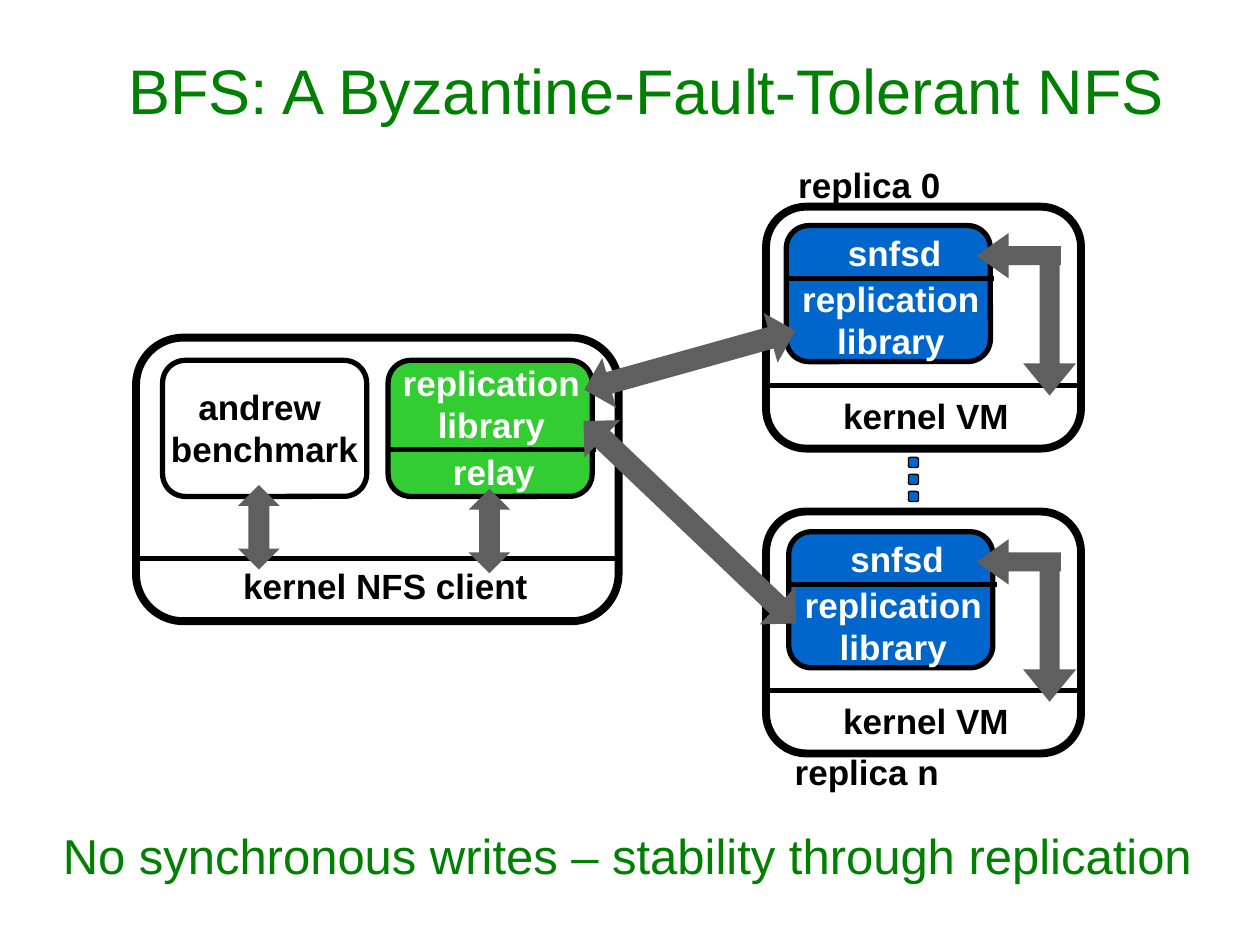
from lxml import etree
from pptx import Presentation
from pptx import util as u
from pptx.dml.color import RGBColor
from pptx.enum import shapes, text
from pptx.oxml.ns import qn

PX = 9144  # EMU, 100 px to the inch
COLORS = {"title": "008000", "ink": "000000", "paper": "FFFFFF",
          "client": "33CC33", "server": "0066CC", "arrow": "5F5F5F"}
LABEL = {"name": "Arial", "size": u.Pt(20), "bold": True}
TITLE = {"name": "Arial", "size": u.Pt(36), "bold": False}
CLAIM = {"name": "Arial", "size": u.Pt(28), "bold": False}
LABEL_HEIGHT = {1: 44, 2: 77}
Shape = shapes.MSO_SHAPE
Align = text.PP_ALIGN


def px(*values):
    return [round(value * PX) for value in values]


def color(name):
    return RGBColor.from_string(COLORS[name])


def add_text(page, box, lines, font, ink, align=Align.CENTER,
             anchor=text.MSO_ANCHOR.TOP, wrap=True):
    frame = page.shapes.add_textbox(*px(*box)).text_frame
    frame.word_wrap = wrap
    frame.vertical_anchor = anchor
    for number, line in enumerate(lines):
        para = frame.add_paragraph() if number else frame.paragraphs[0]
        para.alignment = align
        span = para.add_run()
        span.text = line
        for key, value in font.items():
            setattr(span.font, key, value)
        span.font.color.rgb = color(ink)


def add_label(page, center, top, words, ink="ink", width=170):
    lines = words.split("\n")
    box = (center - width / 2, top, width, LABEL_HEIGHT[len(lines)])
    add_text(page, box, lines, LABEL, ink, wrap=False)


def add_preset(page, kind, box, fill=None, line=0, adjust=(), turn=0):
    shape = page.shapes.add_shape(kind, *px(*box))
    shape.shadow.inherit = False
    shape.rotation = turn
    for number, value in enumerate(adjust):
        shape.adjustments[number] = value
    if fill:
        shape.fill.solid()
        shape.fill.fore_color.rgb = color(fill)
    else:
        shape.fill.background()
    if line:
        shape.line.width = u.Pt(line)
        shape.line.color.rgb = color("ink")
    else:
        shape.line.fill.background()


def add_double_arrow(page, box, shaft, head, turn=0):
    """Two-headed arrow; its adjustments list the head before the shaft."""
    add_preset(page, Shape.UP_DOWN_ARROW, box, "arrow", adjust=(head, shaft), turn=turn)


def add_divider(page, left, right, y):
    line = page.shapes.add_connector(shapes.MSO_CONNECTOR.STRAIGHT, *px(left, y, right, y))
    line.line.width = u.Pt(3)
    line.line.color.rgb = color("ink")
    etree.SubElement(line._element.spPr, qn("a:effectLst"))


def add_machine(page, box, kernel, kernel_center, kernel_top, label_gap):
    """Outer frame whose bottom strip names the kernel."""
    left, top, width, _ = box
    add_preset(page, Shape.ROUNDED_RECTANGLE, box, line=4.5)
    add_divider(page, left, left + width, top + kernel_top)
    add_label(page, left + kernel_center, top + kernel_top + label_gap, kernel,
              width=width - 20)


def add_program(page, left, top, fill, split, parts):
    """Rounded box cut at split; parts are (center, top, words) within it."""
    add_preset(page, Shape.ROUNDED_RECTANGLE, (left, top, 162, 108), fill, 3)
    for center, offset, words in parts:
        add_label(page, left + center, top + offset, words, "paper")
    add_divider(page, left - 1, left + 165, top + split)


def add_client(page, box):
    left, top, _, _ = box
    add_machine(page, box, "kernel NFS client", 198, 175, 0)
    add_preset(page, Shape.ROUNDED_RECTANGLE, (left + 21, top + 18, 162, 108), line=3)
    add_label(page, left + 102, top + 33, "andrew \nbenchmark", width=200)
    add_program(page, left + 200, top + 18, "client", 71,
                [(84, 67, "relay"), (82, -4, "replication\nlibrary")])
    for x, y in ((81, 117), (264, 120)):
        add_double_arrow(page, (left + x, top + y, 33, 67), 0.5, 0.65)


def add_replica(page, box, program_x, program_y):
    left, top, _, _ = box
    inner_top = top + program_y
    add_program(page, left + program_x, inner_top, "server", 42,
                [(86, 0, "snfsd"), (83, 36, "replication\nlibrary")])
    add_machine(page, box, "kernel VM", 127, 142, 2)
    add_preset(page, Shape.LEFT_ARROW, (left + 167, inner_top + 6, 67, 36), "arrow",
               adjust=(0.42, 0.71))
    add_preset(page, Shape.DOWN_ARROW, (left + 204, inner_top + 28, 42, 107), "arrow",
               adjust=(0.38, 0.61))


def add_links(page):
    """Slanted arrows from the client to both replicas."""
    for box, head, turn in (((527, 298, 41, 233), 0.63, 133.6),
                            ((527, 199, 41, 174), 0.47, 74.4)):
        add_double_arrow(page, box, 0.43, head, turn)


def add_ellipsis(page, left, top):
    for number in range(3):
        add_preset(page, Shape.ROUNDED_RECTANGLE, (left, top + 13.5 * number, 8, 8),
                   "server", 0.75)


def main():
    deck = Presentation()
    deck.slide_width, deck.slide_height = px(1000, 750)
    page = deck.slides.add_slide(deck.slide_layouts[6])
    add_text(page, (42, 8, 942, 125), ["BFS: A Byzantine-Fault-Tolerant NFS"],
             TITLE, "title", anchor=text.MSO_ANCHOR.MIDDLE)
    add_text(page, (40, 650, 933, 75),
             ["No synchronous writes – stability through replication"],
             CLAIM, "title", align=Align.LEFT)
    add_client(page, (108, 268, 383, 225))
    for top, program_x, program_y in ((164, 16, 15), (406, 18, 16)):
        add_replica(page, (608, top, 250, 192), program_x, program_y)
    add_links(page)
    add_ellipsis(page, 721, 363)
    add_label(page, 690, 125, "replica 0")
    add_label(page, 688, 591, "replica n")
    deck.save("out.pptx")


if __name__ == "__main__":
    main()
